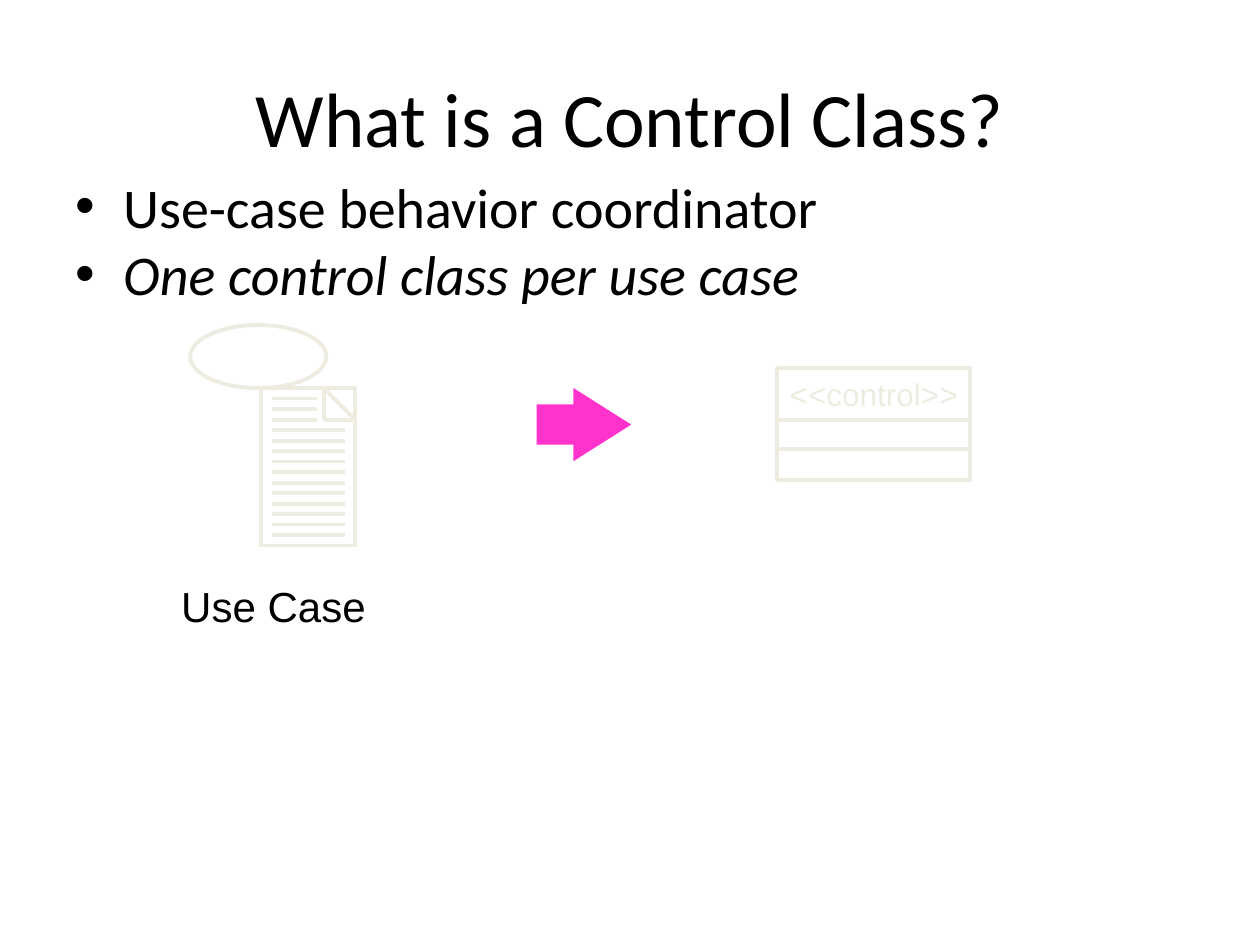
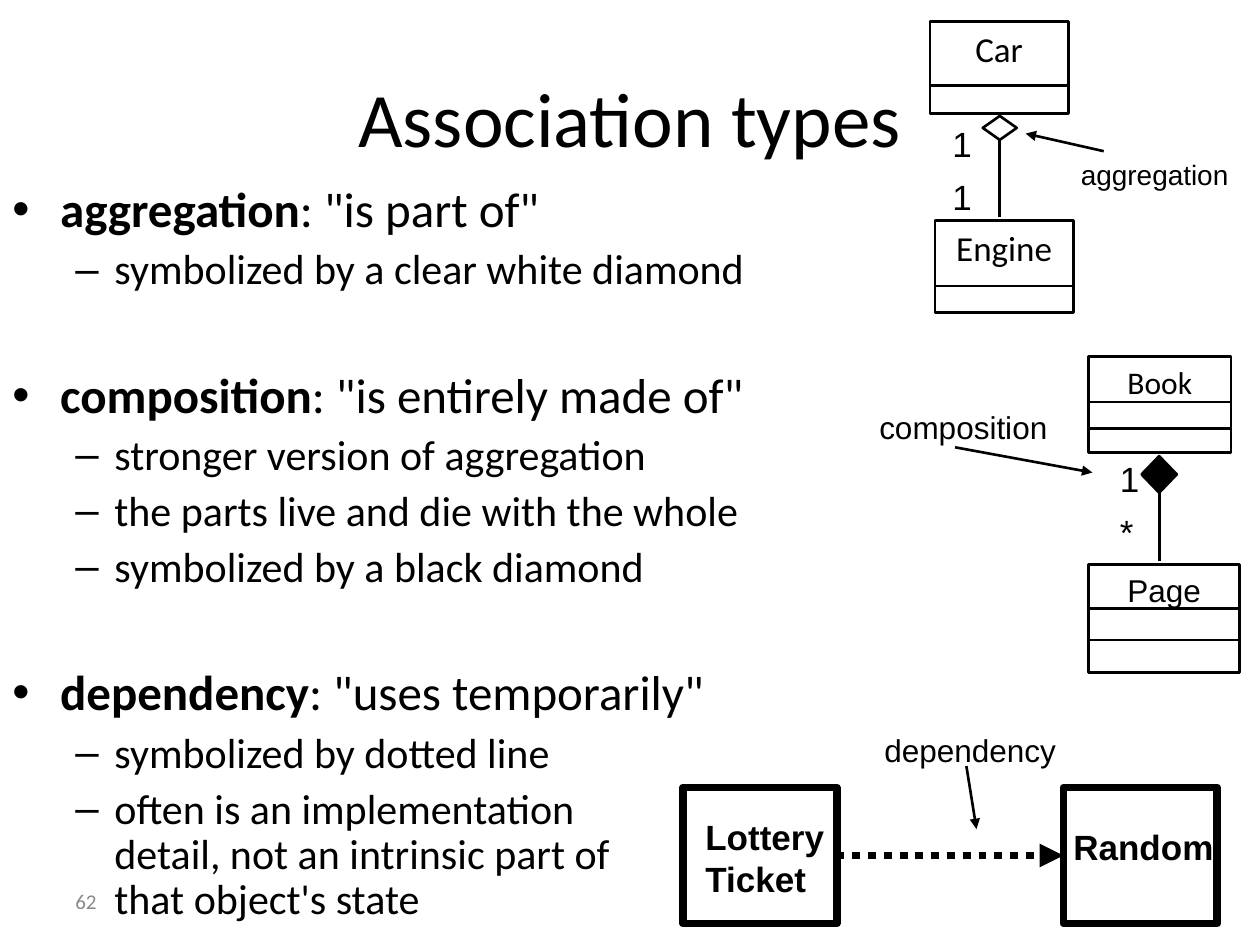
import lxml.etree
import pptx
import pptx.dml.color
import pptx.enum.dml
import pptx.enum.shapes
import pptx.enum.text
import pptx.oxml.ns
import pptx.util

COLORS = {"ink": "000000", "pale": "EEECE1", "arrow": "FF33CC", "number": "898989"}
SHAPES = pptx.enum.shapes.MSO_SHAPE
ALIGN = pptx.enum.text.PP_ALIGN
ANCHOR = pptx.enum.text.MSO_ANCHOR
Inches = pptx.util.Inches
Pt = pptx.util.Pt
qn = pptx.oxml.ns.qn

TITLE_BOX = (0.5, 0.3, 9, 1.25)
BULLETS = [
    {"symbol": "•", "margin": 0.38, "hanging": 0.38},
    {"symbol": "–", "margin": 0.81, "hanging": 0.31},
]


# Shared helpers
def rgb(color):
    return pptx.dml.color.RGBColor.from_string(COLORS[color])


def apply_values(target, values):
    for name, value in values.items():
        setattr(target, name, value)


def add_run(paragraph, text, size, font="Calibri", color="ink", **styles):
    for index, line in enumerate(text.split("\n")):
        if index:
            paragraph.add_line_break()
        run = paragraph.add_run()
        run.text = line
        apply_values(run.font, {"size": Pt(size), "name": font, **styles})
        run.font.color.rgb = rgb(color)


def add_text(slide, box, text, size, font="Arial", color="ink",
             align=ALIGN.LEFT, anchor=ANCHOR.TOP, **styles):
    text_frame = slide.shapes.add_textbox(*map(Inches, box)).text_frame
    apply_values(text_frame, {"word_wrap": True, "vertical_anchor": anchor})
    text_frame.paragraphs[0].alignment = align
    add_run(text_frame.paragraphs[0], text, size, font, color, **styles)


def add_shape(slide, kind, box, fill=None, line=None, width=1.5):
    shape = slide.shapes.add_shape(kind, *map(Inches, box))
    shape.shadow.inherit = False
    if fill:
        shape.fill.solid()
        shape.fill.fore_color.rgb = rgb(fill)
    else:
        shape.fill.background()
    if line:
        shape.line.color.rgb = rgb(line)
        shape.line.width = Pt(width)
    else:
        shape.line.fill.background()
    return shape


def add_line(slide, start, end, color="ink", width=1.5, dash=None, arrow=False):
    connector = slide.shapes.add_connector(
        pptx.enum.shapes.MSO_CONNECTOR.STRAIGHT, *map(Inches, (*start, *end)))
    connector.line.color.rgb = rgb(color)
    connector.line.width = Pt(width)
    if dash:
        connector.line.dash_style = dash
    properties = connector._element.spPr
    if arrow:
        lxml.etree.SubElement(properties.find(qn("a:ln")), qn("a:tailEnd"), type="triangle")
    lxml.etree.SubElement(properties, qn("a:effectLst"))
    return connector


def add_title(slide, text):
    add_text(slide, TITLE_BOX, text, 44, "Calibri", align=ALIGN.CENTER, anchor=ANCHOR.MIDDLE)


def add_bullets(slide, box, items, line_spacing):
    """Each item holds its level, space before, size and (text, styles) runs."""
    text_frame = slide.shapes.add_textbox(*map(Inches, box)).text_frame
    text_frame.word_wrap = True
    for index, (level, space_before, size, runs) in enumerate(items):
        paragraph = text_frame.paragraphs[0] if index == 0 else text_frame.add_paragraph()
        bullet = BULLETS[level]
        properties = paragraph._p.get_or_add_pPr()
        properties.set("marL", str(Inches(bullet["margin"])))
        properties.set("indent", str(-Inches(bullet["hanging"])))
        lxml.etree.SubElement(properties, qn("a:buFont"), typeface="Arial")
        lxml.etree.SubElement(properties, qn("a:buChar"), char=bullet["symbol"])
        apply_values(paragraph, {"level": level, "line_spacing": line_spacing,
                                 "space_before": Pt(space_before)})
        for text, styles in runs:
            add_run(paragraph, text, size, **styles)


def add_class_box(slide, box, name, dividers, size, font="Calibri",
                  color="ink", width=1.5, top_inset=0.05):
    """Class symbol; dividers are distances below its top."""
    left, top, box_width, _ = box
    rectangle = add_shape(slide, SHAPES.RECTANGLE, box, line=color, width=width)
    apply_values(rectangle.text_frame, {
        "vertical_anchor": ANCHOR.TOP, "margin_top": Inches(top_inset),
        "margin_left": 0, "margin_right": 0, "word_wrap": True})
    paragraph = rectangle.text_frame.paragraphs[0]
    paragraph.alignment = ALIGN.CENTER
    add_run(paragraph, name, size, font, color)
    for offset in dividers:
        add_line(slide, (left, top + offset), (left + box_width, top + offset), color, width)


# Control class slide
def add_use_case(slide, left, top):
    pale = {"color": "pale", "width": 2.25}
    add_shape(slide, SHAPES.OVAL, (left, top, 1.08, 0.5), line="pale", width=2.25)
    page_left, page_top, page_width, fold = left + 0.56, top + 0.5, 0.75, 0.25
    add_shape(slide, SHAPES.RECTANGLE, (page_left, page_top, page_width, 1.25),
              line="pale", width=2.25)
    # Folded corner
    page_right = page_left + page_width
    fold_top = (page_right - fold, page_top)
    fold_bottom = (page_right - fold, page_top + fold)
    fold_right = (page_right, page_top + fold)
    for start, end in ((fold_top, fold_right), (fold_top, fold_bottom),
                       (fold_right, fold_bottom)):
        add_line(slide, start, end, **pale)
    # Lines of writing, shorter beside the fold
    for row in range(14):
        y = page_top + (row + 1) / 12
        length = 0.36 if row < 3 else 0.58
        add_line(slide, (page_left + 0.09, y), (page_left + 0.09 + length, y), **pale)
    add_text(slide, (left - 0.34, top + 1.98, 2, 0.5), "Use Case", 24, align=ALIGN.CENTER)


def build_control_slide(slide):
    add_title(slide, "What is a Control Class?")
    add_bullets(slide, (0.5, 1.42, 9, 1.17), [
        (0, 0, 32, [("Use-case behavior coordinator", {})]),
        (0, 8, 32, [("One control class per use case", {"italic": True})]),
    ], 0.8)
    add_use_case(slide, 1.51, 2.58)
    arrow = add_shape(slide, SHAPES.RIGHT_ARROW, (4.26, 3.08, 0.75, 0.58), fill="arrow")
    arrow.adjustments[0] = 0.55
    arrow.adjustments[1] = 0.79
    add_class_box(slide, (6.17, 2.92, 1.53, 0.89), "<<control>>", (0.41, 0.64), 18,
                  "Arial", "pale", 2.25, top_inset=0.06)


# Association types slide
def add_diamond_link(slide, diamond_box, line_end, fill, counts, counts_corner):
    left, top, width, height = diamond_box
    diamond = add_shape(slide, SHAPES.DIAMOND, diamond_box, fill=fill, line="ink")
    center = left + width / 2
    link = add_line(slide, (center, top + height), (center, line_end))
    link.begin_connect(diamond, 2)
    counts_left, counts_top = counts_corner
    for row, count in enumerate(counts):
        add_text(slide, (counts_left, counts_top + row * 0.42, 0.4, 0.44), count, 20)


def add_aggregation(slide, left, top):
    add_class_box(slide, (left, top, 1.1, 0.73), "Car", (0.51,), 20)
    add_class_box(slide, (left + 0.04, top + 1.58, 1.1, 0.73), "Engine", (0.52,), 20)
    add_diamond_link(slide, (left + 0.42, top + 0.75, 0.27, 0.19), top + 1.55,
                     None, ("1", "1"), (left + 0.08, top + 0.75))
    add_text(slide, (left + 1.1, top + 1.03, 1.52, 0.37), "aggregation", 16)
    add_line(slide, (left + 1.38, top + 1.03), (left + 0.76, top + 0.89), arrow=True)


def add_composition(slide, left, top):
    add_class_box(slide, (left, top, 1.13, 0.76), "Book", (0.36, 0.57), 18)
    add_class_box(slide, (left, top + 1.65, 1.2, 0.86), "Page", (0.35, 0.6), 18, "Arial")
    add_diamond_link(slide, (left + 0.42, top + 0.79, 0.28, 0.29), top + 1.62,
                     "ink", ("1", "*"), (left + 0.15, top + 0.75))
    add_text(slide, (left - 1.76, top + 0.36, 1.55, 0.4), "composition", 18)
    add_line(slide, (left - 1.06, top + 0.72), (left + 0.03, top + 0.92), arrow=True)


def add_dependency(slide, left, top):
    side, height, spacing = 1.22, 1.08, 3.02
    user, used = [
        add_shape(slide, SHAPES.RECTANGLE, (left + column * spacing, top, side, height),
                  line="ink", width=4.5)
        for column in range(2)]
    middle = top + height / 2
    link = add_line(slide, (left + side, middle), (left + spacing, middle), width=4.5,
                    dash=pptx.enum.dml.MSO_LINE.ROUND_DOT, arrow=True)
    link.begin_connect(user, 3)
    link.end_connect(used, 1)
    add_text(slide, (left + 0.08, top + 0.17, 1.26, 0.77), "Lottery\nTicket", 20, bold=True)
    add_text(slide, (left + 3, top + 0.25, 1.42, 0.44), "Random", 20, bold=True)
    add_text(slide, (left + 1.5, top - 0.5, 1.75, 0.4), "dependency", 18)
    add_line(slide, (left + 2.25, top - 0.17), (left + 2.33, top + 0.33), arrow=True)


def build_association_slide(slide):
    add_text(slide, (0.5, 6.95, 2.33, 0.4), "62", 12, "Calibri", "number", anchor=ANCHOR.MIDDLE)
    add_title(slide, "Association types")
    topics = [
        ("aggregation", "is part of", ["symbolized by a clear white diamond"]),
        ("composition", "is entirely made of", [
            "stronger version of aggregation",
            "the parts live and die with the whole",
            "symbolized by a black diamond"]),
        ("dependency", "uses temporarily", [
            "symbolized by dotted line",
            "often is an implementation\ndetail, not an intrinsic part of\nthat object's state"]),
    ]
    items = []
    for term, meaning, details in topics:
        heading = [(term, {"bold": True}), (f': "{meaning}"', {})]
        items.append((0, 44 if items else 0, 28, heading))
        items += [(1, 6, 24, [(detail, {})]) for detail in details]
    add_bullets(slide, (0, 1.42, 7, 6.08), items, 0.9)
    add_aggregation(slide, 7.38, 0.17)
    add_composition(slide, 8.64, 2.83)
    add_dependency(slide, 5.42, 6.25)


def main():
    presentation = pptx.Presentation()
    presentation.slide_width = Inches(10)
    presentation.slide_height = Inches(7.5)
    for build in (build_control_slide, build_association_slide):
        build(presentation.slides.add_slide(presentation.slide_layouts[6]))
    presentation.save("out.pptx")


if __name__ == "__main__":
    main()
